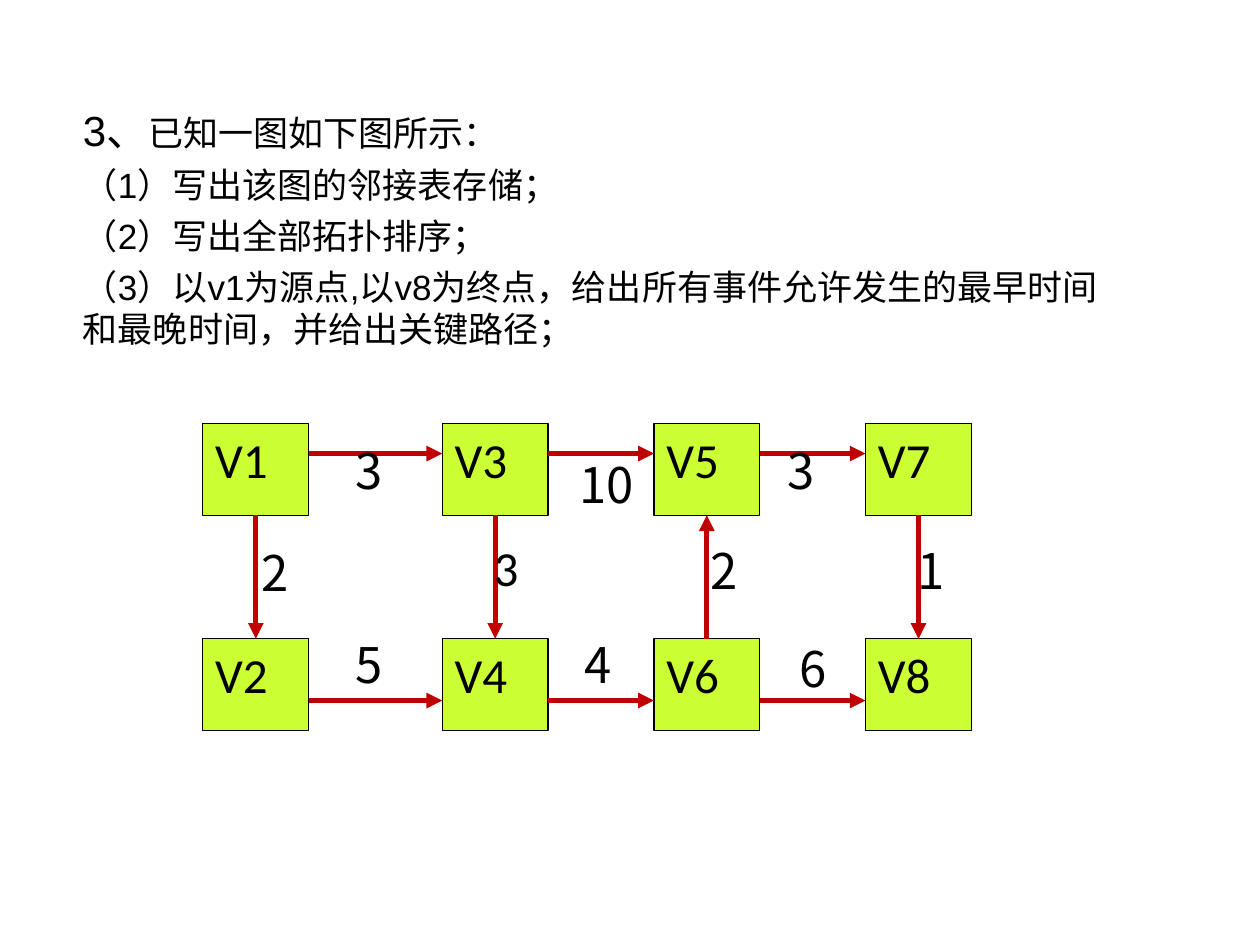
from dataclasses import dataclass

from lxml import etree
from pptx import Presentation
from pptx.dml.color import RGBColor
from pptx.enum.shapes import MSO_CONNECTOR, MSO_SHAPE
from pptx.enum.text import MSO_ANCHOR, PP_ALIGN
from pptx.oxml.ns import qn
from pptx.util import Inches, Pt

RECTANGLE = MSO_SHAPE.RECTANGLE
STRAIGHT = MSO_CONNECTOR.STRAIGHT
TOP = MSO_ANCHOR.TOP
JUSTIFY = PP_ALIGN.JUSTIFY
SITE_TOP, SITE_BOTTOM = 0, 2


@dataclass(frozen=True)
class Theme:
    ink: RGBColor = RGBColor(0, 0, 0)
    node_fill: RGBColor = RGBColor(0xCC, 0xFF, 0x33)
    arrow: RGBColor = RGBColor(0xC0, 0, 0)
    question_font: str = "Arial"
    node_font: str = "Calibri"
    weight_font: str = "Noto Sans CJK SC"
    number_size: int = 24
    question_size: int = 20
    graph_size: int = 28
    node_line: float = 0.75
    arrow_line: float = 3


THEME = Theme()
COLUMNS = (1.61, 3.51, 5.19, 6.87)
ROWS = (3.36, 5.07)
NODE_WIDTH, NODE_HEIGHT = 0.84, 0.73
EDGE_LEVELS = (ROWS[0] + 0.24, ROWS[1] + 0.49)

QUESTION_NUMBER = "3、"
QUESTION = "已知一图如下图所示："
TASKS = (
    "（1）写出该图的邻接表存储；",
    "（2）写出全部拓扑排序；",
    "（3）以v1为源点,以v8为终点，给出所有事件允许发生的最早时间和最晚时间，并给出关键路径；",
)
UPWARD_COLUMN = 2
WEIGHTS = (
    ("3", 2.72, 3.45), ("10", 4.5, 3.56), ("3", 6.15, 3.45),
    ("2", 1.98, 4.26), ("2", 5.54, 4.24), ("1", 7.18, 4.24),
    ("5", 2.72, 4.99), ("4", 4.54, 4.99), ("6", 6.25, 5.02),
)


def style(font, name, size):
    font.name = name
    font.size = Pt(size)
    font.color.rgb = THEME.ink


def add_question(slide):
    frame = slide.shapes.add_textbox(
        Inches(0.56), Inches(0.78), Inches(8.5), Inches(2.17)).text_frame
    frame.word_wrap = True
    heading = frame.paragraphs[0]
    for text, size in ((QUESTION_NUMBER, THEME.number_size),
                       (QUESTION, THEME.question_size)):
        part = heading.add_run()
        part.text = text
        style(part.font, THEME.question_font, size)
    for text in TASKS:
        task = frame.add_paragraph()
        task.text = text
        task.space_before = Pt(5)
        style(task.font, THEME.question_font, THEME.question_size)


def write_label(frame, text, font_name):
    frame.vertical_anchor = TOP
    label = frame.paragraphs[0]
    label.text = text
    label.alignment = JUSTIFY
    style(label.font, font_name, THEME.graph_size)


def add_node(slide, column, row):
    node = slide.shapes.add_shape(
        RECTANGLE, Inches(COLUMNS[column]), Inches(ROWS[row]),
        Inches(NODE_WIDTH), Inches(NODE_HEIGHT))
    node.shadow.inherit = False
    node.fill.solid()
    node.fill.fore_color.rgb = THEME.node_fill
    node.line.color.rgb = THEME.ink
    node.line.width = Pt(THEME.node_line)
    write_label(node.text_frame, f"V{2 * column + row + 1}", THEME.node_font)
    return node


def add_arrow(slide, start=(0, 0), end=(0, 0)):
    arrow = slide.shapes.add_connector(
        STRAIGHT, *(Inches(length) for length in (*start, *end)))
    arrow.line.color.rgb = THEME.arrow
    arrow.line.width = Pt(THEME.arrow_line)
    etree.SubElement(arrow.line._get_or_add_ln(), qn("a:tailEnd"), type="triangle")
    etree.SubElement(arrow._element.spPr, qn("a:effectLst"))
    return arrow


def add_horizontal_edges(slide):
    for level in EDGE_LEVELS:
        for left, right in zip(COLUMNS, COLUMNS[1:]):
            add_arrow(slide, (left + NODE_WIDTH, level), (right, level))


def add_vertical_edges(slide, nodes):
    for column in range(len(COLUMNS)):
        ends = [(nodes[column, 0], SITE_BOTTOM), (nodes[column, 1], SITE_TOP)]
        if column == UPWARD_COLUMN:
            ends.reverse()
        arrow = add_arrow(slide)
        arrow.begin_connect(*ends[0])
        arrow.end_connect(*ends[1])


def add_weight(slide, text, left, top, font_name, width, height, wrap=False):
    frame = slide.shapes.add_textbox(
        Inches(left), Inches(top), Inches(width), Inches(height)).text_frame
    frame.word_wrap = wrap
    write_label(frame, text, font_name)


def main():
    deck = Presentation()
    deck.slide_width, deck.slide_height = Inches(10), Inches(7.5)
    slide = deck.slides.add_slide(deck.slide_layouts[6])
    add_question(slide)
    nodes = {(column, row): add_node(slide, column, row)
             for column in range(len(COLUMNS)) for row in range(len(ROWS))}
    add_horizontal_edges(slide)
    add_vertical_edges(slide, nodes)
    for text, left, top in WEIGHTS:
        width, height = (0.68, 0.68) if len(text) > 1 else (0.46, 1.05)
        add_weight(slide, text, left, top, THEME.weight_font, width, height)
    add_weight(slide, "3", 3.82, 4.22, THEME.node_font, 0.61, 1.45, wrap=True)
    deck.save("out.pptx")


if __name__ == "__main__":
    main()
